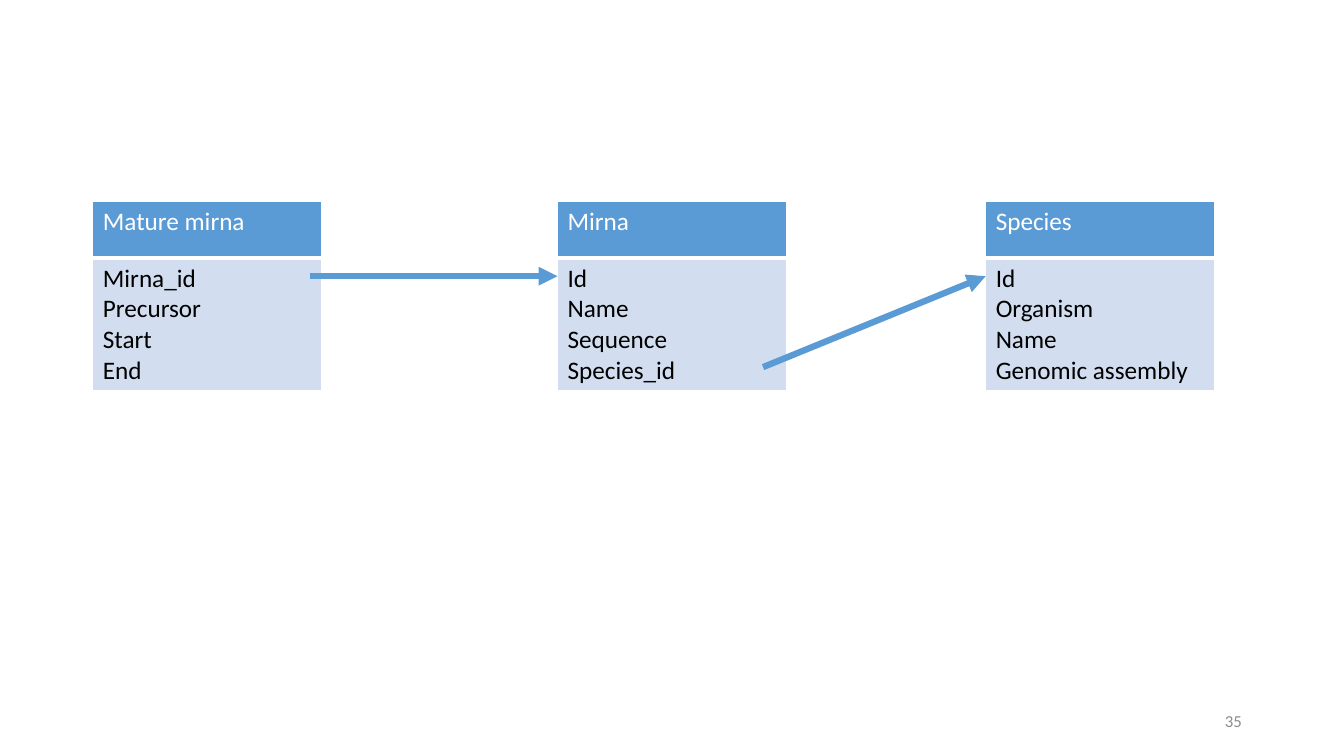
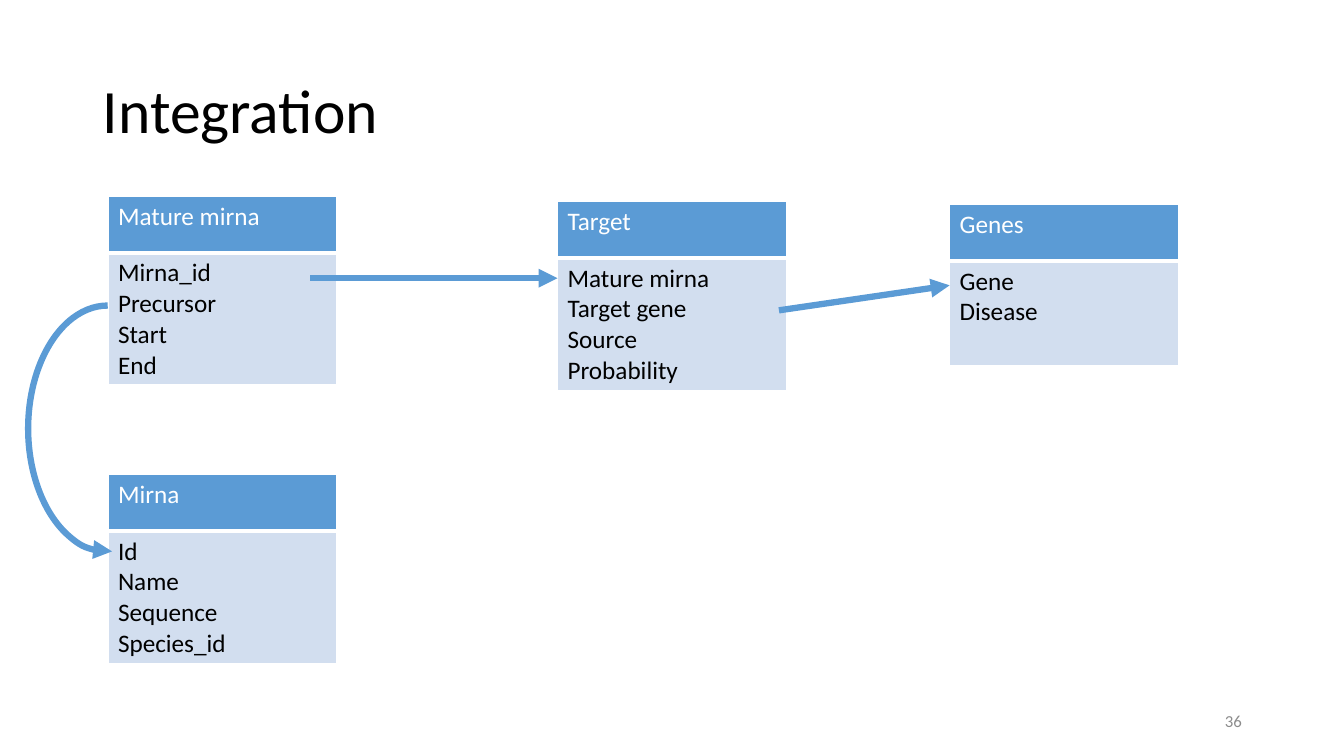
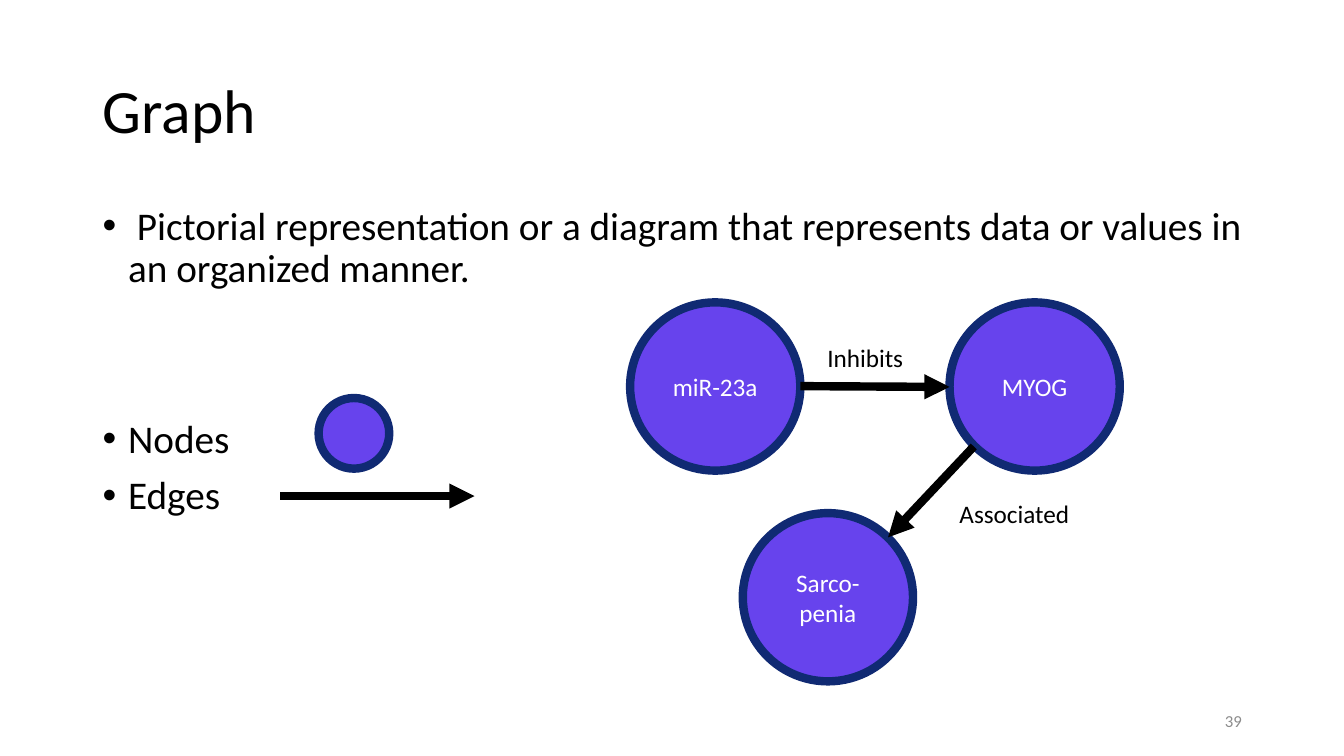
import pptx
import pptx.util
import pptx.dml.color
import pptx.enum.shapes
import pptx.enum.text
import pptx.oxml
import pptx.oxml.ns
from lxml import etree
from pptx.util import Cm

COLORS = {
    "white": "FFFFFF",
    "black": "000000",
    "grey": "8C8C8C",
    "blue": "5B9BD5",
    "pale": "D2DEEF",
    "violet": "6743ED",
    "navy": "102A73",
}
FONT = "Calibri"
ANCHOR = pptx.enum.text.MSO_ANCHOR
ALIGN = pptx.enum.text.PP_ALIGN
SHAPE = pptx.enum.shapes.MSO_SHAPE
LEFT, TOP, WIDTH = 2.34, 5.08, 29.21
ENTITY_WIDTH, HEADER_HEIGHT, MIN_FIELDS_HEIGHT = 5.77, 1.42, 2.64


def rgb(name):
    return pptx.dml.color.RGBColor.from_string(COLORS[name])


def add_element(parent, tag, **attributes):
    return etree.SubElement(parent, pptx.oxml.ns.qn(tag), attributes)


class Deck:
    def __init__(self):
        self.deck = pptx.Presentation()
        self.deck.slide_width, self.deck.slide_height = Cm(33.87), Cm(19.05)
        self.page = None

    def new_page(self, number, title=None):
        self.page = self.deck.slides.add_slide(self.deck.slide_layouts[6])
        if title:
            para = self.text(title, LEFT, 1.02, WIDTH, 3.68, size=44)
            para.line_spacing = 0.9
        para = self.text(number, 23.93, 17.65, 7.62, 1.02, size=12, color="grey")
        para.alignment = ALIGN.RIGHT

    def add_span(self, para, text, size=18, color="black"):
        span = para.add_run()
        span.text = text
        span.font.name = FONT
        span.font.size = pptx.util.Pt(size)
        span.font.color.rgb = rgb(color)

    def frame(self, x, y, width, height, wrap=True):
        box = self.page.shapes.add_textbox(Cm(x), Cm(y), Cm(width), Cm(height))
        box.text_frame.word_wrap = wrap
        return box.text_frame

    def text(self, text, x, y, width, height, size=18, color="black", wrap=True):
        frame = self.frame(x, y, width, height, wrap)
        frame.vertical_anchor = ANCHOR.MIDDLE
        para = frame.paragraphs[0]
        self.add_span(para, text, size, color)
        return para

    def bullets(self, items, x, y, width, height):
        """Add (text, points of space before) pairs as a bulleted list."""
        frame = self.frame(x, y, width, height)
        for index, (text, space) in enumerate(items):
            para = frame.add_paragraph() if index else frame.paragraphs[0]
            properties = para._p.get_or_add_pPr()
            properties.set("marL", str(Cm(0.64)))
            properties.set("indent", str(-Cm(0.64)))
            add_element(properties, "a:buFont", typeface="Arial")
            add_element(properties, "a:buChar", char="•")
            para.line_spacing = 0.9
            para.space_before = pptx.util.Pt(space)
            self.add_span(para, text, size=28)

    def cell(self, cell, lines, fill, color, bottom):
        properties = cell._tc.get_or_add_tcPr()
        for side, points in (("L", 1), ("R", 1), ("T", 1), ("B", bottom)):
            border = add_element(properties, f"a:ln{side}", w=str(pptx.util.Pt(points)))
            solid = add_element(border, "a:solidFill")
            add_element(solid, "a:srgbClr", val=COLORS["white"])
        cell.fill.solid()
        cell.fill.fore_color.rgb = rgb(fill)
        for index, line in enumerate(lines):
            frame = cell.text_frame
            para = frame.add_paragraph() if index else frame.paragraphs[0]
            self.add_span(para, line, color=color)

    def entity(self, name, fields, x, y):
        """Draw a database table: its name above its list of fields."""
        fields_height = max(MIN_FIELDS_HEIGHT, 0.25 + 0.77 * len(fields))
        table = self.page.shapes.add_table(
            2, 1, Cm(x), Cm(y), Cm(ENTITY_WIDTH), Cm(HEADER_HEIGHT + fields_height)
        ).table
        table.first_row = table.horz_banding = False
        table.rows[0].height = Cm(HEADER_HEIGHT)
        table.rows[1].height = Cm(fields_height)
        self.cell(table.cell(0, 0), [name], "blue", "white", bottom=3)
        self.cell(table.cell(1, 0), fields, "pale", "black", bottom=1)

    def arrow_line(self, shape, color, points):
        shape.line.color.rgb = rgb(color)
        shape.line.width = pptx.util.Pt(points)
        line = shape.element.spPr.find(pptx.oxml.ns.qn("a:ln"))
        add_element(line, "a:tailEnd", type="triangle")

    def arrow(self, start, end, color="blue", points=4.5):
        line = self.page.shapes.add_connector(
            pptx.enum.shapes.MSO_CONNECTOR.STRAIGHT, *map(Cm, (*start, *end))
        )
        self.arrow_line(line, color, points)
        add_element(line.element.spPr, "a:effectLst")

    def left_arc(self, x, y, width, height):
        """Draw an arrow that bulges left from the top to the bottom."""
        arc = self.page.shapes.add_shape(SHAPE.ARC, *map(Cm, (x, y, width, height)))
        arc.adjustments[0], arc.adjustments[1] = 162, 55.21
        arc.element.spPr.find(pptx.oxml.ns.qn("a:xfrm")).set("flipH", "1")
        arc.shadow.inherit = False
        arc.fill.background()
        self.arrow_line(arc, "blue", 4.5)

    def node(self, x, y, width=4.29, height=4.24, label=None):
        node = self.page.shapes.add_shape(SHAPE.OVAL, *map(Cm, (x, y, width, height)))
        node.shadow.inherit = False
        node.fill.solid()
        node.fill.fore_color.rgb = rgb("violet")
        node.line.color.rgb = rgb("navy")
        node.line.width = pptx.util.Pt(6)
        if label:
            node.text_frame.word_wrap = True
            node.text_frame.vertical_anchor = ANCHOR.MIDDLE
            para = node.text_frame.paragraphs[0]
            para.alignment = ALIGN.CENTER
            self.add_span(para, label, color="white")


def main():
    mature = ("Mature mirna", ["Mirna_id", "Precursor", "Start", "End"])
    mirna = ("Mirna", ["Id", "Name", "Sequence", "Species_id"])
    species = ("Species", ["Id", "Organism", "Name", "Genomic assembly"])
    target = ("Target", ["Mature mirna", "Target gene", "Source", "Probability"])
    genes = ("Genes", ["Gene", "Disease"])
    deck = Deck()

    deck.new_page("35")
    for entity, x in ((mature, LEFT), (mirna, 14.05), (species, 24.84)):
        deck.entity(*entity, x, TOP)
    deck.arrow((7.8, 6.96), (14.05, 6.96))
    deck.arrow((19.23, 9.25), (24.84, 6.96))

    deck.new_page("36", "Integration")
    deck.entity(*target, 14.05, TOP)
    deck.entity(*genes, 23.93, 5.16)
    deck.entity(*mature, 2.72, 4.95)
    deck.entity(*mirna, 2.72, 11.96)
    deck.arrow((7.82, 7.01), (14.05, 7.01))
    deck.arrow((19.63, 7.82), (23.93, 7.19))
    deck.left_arc(0.71, 7.7, 4.01, 6.2)

    deck.new_page("39", "Graph")
    definition = (
        " Pictorial representation or a diagram that represents data"
        " or values in an organized manner."
    )
    deck.bullets(
        [(definition, 0), ("Nodes", 91.5), ("Edges", 10)], LEFT, TOP, WIDTH, 12.09
    )
    deck.node(8.03, 10.03, 1.78, 1.78)
    for label, x, y in (
        ("miR-23a", 15.88, 7.62),
        ("MYOG", 23.93, 7.62),
        ("Sarco-penia", 18.72, 12.93),
    ):
        deck.node(x, y, label=label)
    for start, end in (
        ((7.06, 12.5), (11.96, 12.5)),
        ((20.17, 9.73), (23.93, 9.75)),
        ((24.54, 11.25), (22.38, 13.54)),
    ):
        deck.arrow(start, end, "black", 6)
    deck.text("Inhibits", 20.6, 8.51, 2.44, 1.02, wrap=False)
    deck.text("Associated", 23.93, 12.42, 3.3, 1.02, wrap=False)

    deck.deck.save("out.pptx")


if __name__ == "__main__":
    main()
